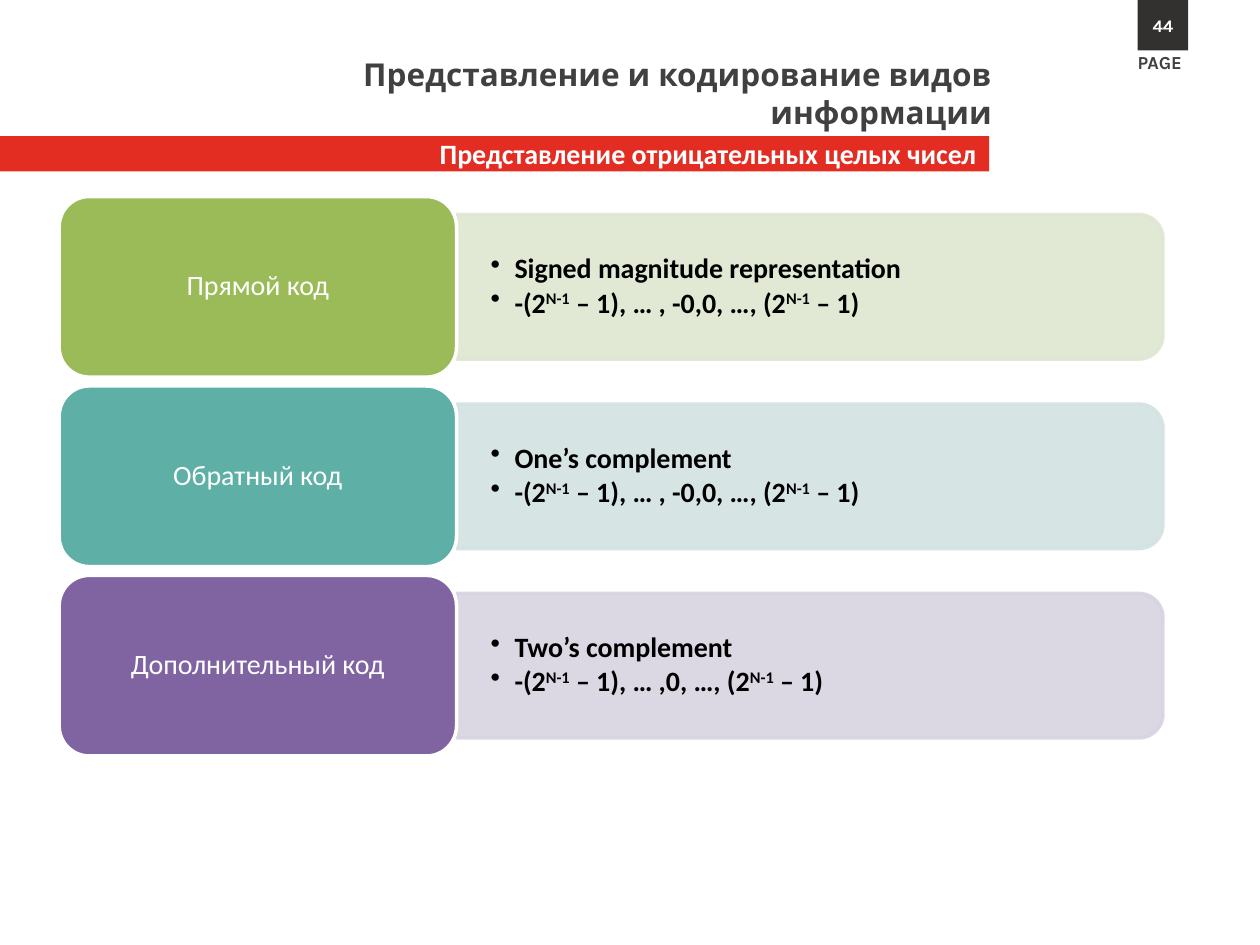
import pptx
import pptx.util
import pptx.dml.color
import pptx.enum.shapes
import pptx.enum.text
import pptx.oxml
import pptx.oxml.ns
from collections import namedtuple

Box = namedtuple("Box", "left top width height")
SHAPE = pptx.enum.shapes.MSO_SHAPE
ALIGN = pptx.enum.text.PP_ALIGN
MIDDLE = pptx.enum.text.MSO_ANCHOR.MIDDLE
TOP = pptx.enum.text.MSO_ANCHOR.TOP
CELL = 0.1  # inches; the slide is a grid of 100 columns by 75 rows
COLS, ROWS = 100, 75


class Theme:
    red, dark, grey = "E32C22", "333030", "404040"
    white, black = "FFFFFF", "000000"
    body = {"name": "Calibri", "size": pptx.util.Pt(16)}
    strong = {**body, "bold": True}
    title = {"name": "Karla", "size": pptx.util.Pt(18), "bold": True}
    small = {**title, "size": pptx.util.Pt(10.5)}
    digit = {**title, "size": pptx.util.Pt(10)}
    edge = pptx.util.Pt(2)


# Label, label fill, panel tint, English name, middle of the range
CODES = [
    ("Прямой код", "9BBB59", "DEE7D1", "Signed magnitude representation", ", … , -0,0, …, "),
    ("Обратный код", "5EAFA6", "D2E3E2", "One’s complement", ", … , -0,0, …, "),
    ("Дополнительный код", "8064A2", "D8D3E0", "Two’s complement", ", … ,0, …, "),
]


def apply(item, values):
    for name, value in values.items():
        setattr(item, name, value)


def grid(cells):
    return pptx.util.Inches(cells * CELL)


def color(code):
    return pptx.dml.color.RGBColor.from_string(code)


def fade(fill):
    """Make a solid fill 90% opaque."""
    tone = fill._xPr.find(".//" + pptx.oxml.ns.qn("a:srgbClr"))
    pptx.oxml.ns  # namespace map used by the element below
    tone.append(pptx.oxml.parse_xml(
        f'<a:alpha {pptx.oxml.ns.nsdecls("a")} val="90000"/>'))


def block(slide, kind, box, fill, edge=None):
    shape = slide.shapes.add_shape(kind, *map(grid, box))
    shape.shadow.inherit = False
    shape.fill.solid()
    shape.fill.fore_color.rgb = color(fill)
    if edge:
        shape.line.color.rgb = color(edge)
        shape.line.width = Theme.edge
    else:
        shape.line.fill.background()
    return shape


def label(slide, box):
    return slide.shapes.add_textbox(*map(grid, box))


def frame(shape, inset=(1, 0.5), anchor=MIDDLE, wrap=True):
    side, end = map(grid, inset)
    apply(shape.text_frame, {
        "margin_left": side, "margin_right": side,
        "margin_top": end, "margin_bottom": end,
        "vertical_anchor": anchor, "word_wrap": wrap})
    return shape.text_frame


def write(para, parts, font, tint, align=ALIGN.LEFT, **form):
    """Fill a paragraph; every second part is raised."""
    apply(para, {"alignment": align, **form})
    for index, part in enumerate(parts):
        run = para.add_run()
        run.text = part
        apply(run.font, font)
        run.font.color.rgb = color(tint)
        if index % 2:
            run._r.get_or_add_rPr().set("baseline", "30000")


def bullet(para):
    props = para._p.get_or_add_pPr()
    apply_ind = {"marL": grid(1.9), "indent": -grid(1.9)}
    for name, value in apply_ind.items():
        props.set(name, str(int(value)))
    props.append(pptx.oxml.parse_xml(
        f'<a:buChar {pptx.oxml.ns.nsdecls("a")} char="•"/>'))


def header(slide, box):
    # Red band with the subtitle
    band = block(slide, SHAPE.RECTANGLE,
                 Box(box.left, box.top + 10.8, box.width * 0.785, 2.8), Theme.red)
    write(frame(band).paragraphs[0], ["Представление отрицательных целых чисел"],
          Theme.strong, Theme.white, ALIGN.RIGHT)
    # Title
    title = label(slide, Box(box.left + 11.4, box.top + 3.9, box.width * 0.683, 4))
    write(frame(title, anchor=TOP).paragraphs[0],
          ["Представление и кодирование видов информации"],
          Theme.title, Theme.grey, ALIGN.RIGHT)


def page(slide, box):
    # Number tile and its caption
    tile = block(slide, SHAPE.RECTANGLE, box, Theme.dark)
    write(frame(tile, (0, 0)).paragraphs[0], ["44"],
          Theme.digit, Theme.white, ALIGN.CENTER)
    note = label(slide, Box(box.left - 1, box.top + 3.6, 5.9, 2.8))
    write(frame(note, anchor=TOP, wrap=False).paragraphs[0], ["PAGE"],
          Theme.small, Theme.grey)


def code_row(slide, box, name, fill, tint, term, span):
    # Pale panel, a tall shape turned on its side
    wide = box.width * 0.36
    left, long, high = box.left + wide, box.width - wide, box.height * 0.8
    panel = block(slide, SHAPE.ROUND_2_SAME_RECTANGLE,
                  Box(left + (long - high) / 2, box.top + (box.height - long) / 2,
                      high, long), tint, tint)
    panel.rotation = 90
    fade(panel.fill)
    fade(panel.line.fill)
    # Term and range of values
    text = label(slide, Box(left, box.top + box.height * 0.14, long, box.height * 0.72))
    body = frame(text, (2.7, 1.4))
    power = ["-(2", "N-1", f" – 1){span}(2", "N-1", " – 1)"]
    for index, parts in enumerate([[term], power]):
        para = body.add_paragraph() if index else body.paragraphs[0]
        bullet(para)
        write(para, parts, Theme.strong, Theme.black,
              line_spacing=0.9, space_after=pptx.util.Pt(2.4))
    # Coloured name card
    card = block(slide, SHAPE.ROUNDED_RECTANGLE,
                 Box(box.left, box.top, wide, box.height), fill, Theme.white)
    write(frame(card, (1.4, 1)).paragraphs[0], [name], Theme.body, Theme.white,
          ALIGN.CENTER, line_spacing=0.9)


def table(slide, box, gap=0.7):
    high = (box.height - gap * (len(CODES) - 1)) / len(CODES)
    for index, code in enumerate(CODES):
        top = box.top + index * (high + gap)
        code_row(slide, Box(box.left, top, box.width, high), *code)


def main():
    deck = pptx.Presentation()
    apply(deck, {"slide_width": grid(COLS), "slide_height": grid(ROWS)})
    slide = deck.slides.add_slide(deck.slide_layouts[6])
    header(slide, Box(0, 0, COLS, 14))
    page(slide, Box(90.3, 0, 4, 4))
    table(slide, Box(4.7, 15.6, 87.6, 44.4))
    deck.save("out.pptx")


if __name__ == "__main__":
    main()
